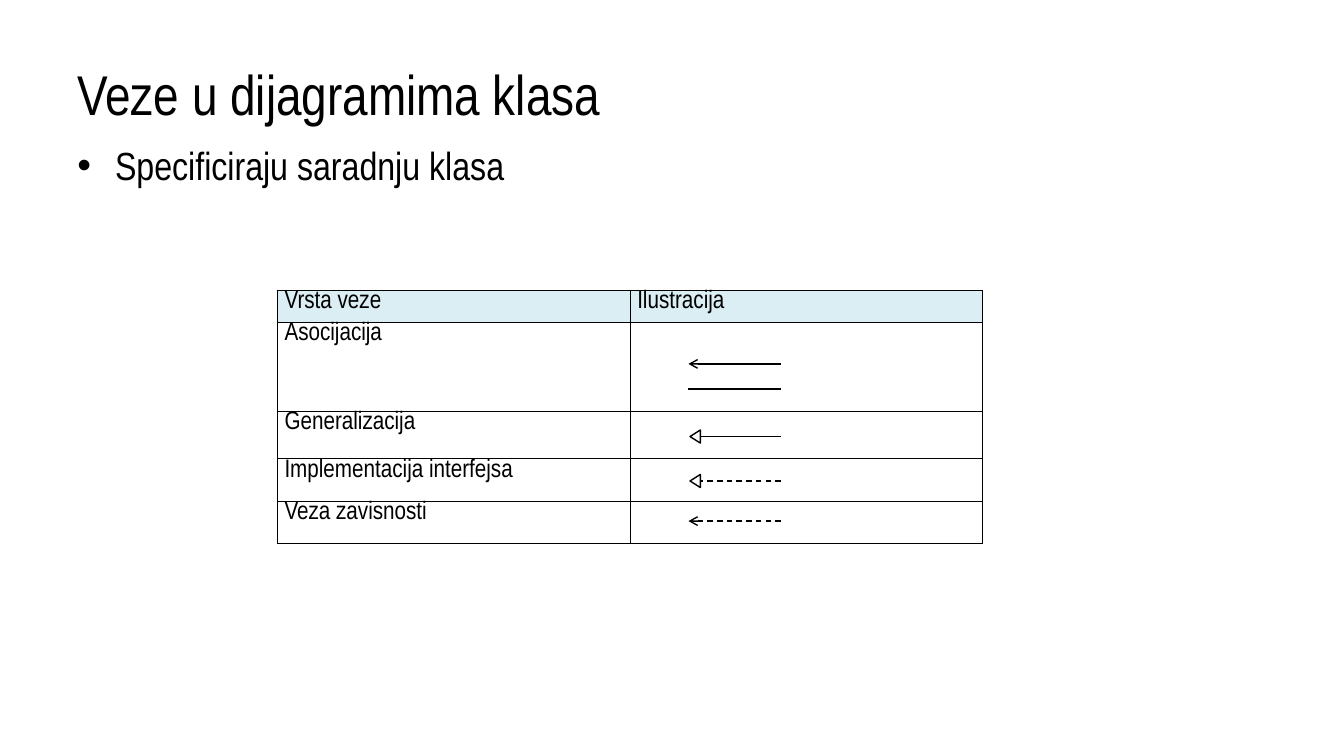
from lxml import etree
from pptx import Presentation
from pptx.dml.color import RGBColor
from pptx.enum.dml import MSO_LINE
from pptx.enum.shapes import MSO_CONNECTOR, MSO_SHAPE
from pptx.enum.text import MSO_ANCHOR, PP_ALIGN
from pptx.oxml.ns import qn
from pptx.util import Cm, Pt

BLACK = RGBColor(0x00, 0x00, 0x00)
HEADER_BLUE = RGBColor(0xDB, 0xEE, 0xF4)
FONT = "Arial Narrow"
DASH = MSO_LINE.DASH
STRAIGHT = MSO_CONNECTOR.STRAIGHT
TRIANGLE = MSO_SHAPE.ISOSCELES_TRIANGLE
MIDDLE, TOP = MSO_ANCHOR.MIDDLE, MSO_ANCHOR.TOP
JUSTIFY = PP_ALIGN.JUSTIFY

HEADINGS = ("Vrsta veze", "Ilustracija")
HEADING_HEIGHT = 0.81
RELATIONS = (
    ("Asocijacija", 2.24, ((1.04, "arrow", None), (1.67, None, None))),
    ("Generalizacija", 1.19, ((0.63, "triangle", None),)),
    ("Implementacija interfejsa", 1.07, ((0.56, "triangle", DASH),)),
    ("Veza zavisnosti", 1.07, ((0.5, "arrow", DASH),)),
)


def style_text(paragraph, size):
    """Set the font of every run in a paragraph."""
    for run in paragraph.runs:
        run.font.name = FONT
        run.font.size = Pt(size)
        run.font.color.rgb = BLACK


def add_text(slide, box, text, size, anchor):
    """Place one line of text in a box and return its paragraph."""
    frame = slide.shapes.add_textbox(*(Cm(length) for length in box)).text_frame
    frame.word_wrap = True
    frame.vertical_anchor = anchor
    frame.text = text
    style_text(frame.paragraphs[0], size)
    return frame.paragraphs[0]


def add_bullet(paragraph, indent):
    """Give a paragraph a round bullet with a hanging indent."""
    properties = paragraph._p.get_or_add_pPr()
    properties.set("marL", str(Cm(indent)))
    properties.set("indent", str(-Cm(indent)))
    etree.SubElement(properties, qn("a:buFont")).set("typeface", "Arial")
    etree.SubElement(properties, qn("a:buChar")).set("char", "•")


def style_cell(cell, text, fill):
    """Fill a table cell and draw its four borders."""
    cell.margin_left = cell.margin_right = Cm(0.18)
    cell.margin_top = cell.margin_bottom = 0
    cell.text = text
    cell.text_frame.paragraphs[0].alignment = JUSTIFY
    style_text(cell.text_frame.paragraphs[0], 18)
    properties = cell._tc.get_or_add_tcPr()
    for side in ("lnL", "lnR", "lnT", "lnB"):
        border = etree.SubElement(properties, qn(f"a:{side}"), w=str(Pt(1)))
        color = etree.SubElement(border, qn("a:solidFill"))
        etree.SubElement(color, qn("a:srgbClr")).set("val", str(BLACK))
    if fill is None:
        cell.fill.background()
    else:
        cell.fill.solid()
        cell.fill.fore_color.rgb = fill


def add_relation_line(slide, left, y, head, dash):
    """Draw one relation symbol pointing left, from the column's left edge."""
    start = left + (1.77 if head == "triangle" else 1.47)
    line = slide.shapes.add_connector(
        STRAIGHT, Cm(left + 3.8), Cm(y), Cm(start), Cm(y))
    line.line.color.rgb = BLACK
    line.line.width = Pt(1)
    if dash:
        line.line.dash_style = dash
    etree.SubElement(line._element.spPr, qn("a:effectLst"))
    if head == "arrow":
        outline = line.line._get_or_add_ln()
        etree.SubElement(outline, qn("a:tailEnd")).set("type", "arrow")
    elif head == "triangle":
        width, height = 0.33, 0.26
        tip = slide.shapes.add_shape(
            TRIANGLE, Cm(start - (width + height) / 2), Cm(y - height / 2),
            Cm(width), Cm(height))
        tip.rotation = 270
        tip.shadow.inherit = False
        tip.fill.background()
        tip.line.color.rgb = BLACK
        tip.line.width = Pt(1)


def add_relations(slide, left, top, width):
    """Build the table of relations with a symbol in each row."""
    heights = [HEADING_HEIGHT] + [height for _, height, _ in RELATIONS]
    table = slide.shapes.add_table(
        len(heights), len(HEADINGS), Cm(left), Cm(top), Cm(width),
        Cm(sum(heights))).table
    for row, height in zip(table.rows, heights):
        row.height = Cm(height)
    for column, heading in enumerate(HEADINGS):
        style_cell(table.cell(0, column), heading, HEADER_BLUE)
    row_top = top + HEADING_HEIGHT
    for row, (relation, height, symbols) in enumerate(RELATIONS, start=1):
        style_cell(table.cell(row, 0), relation, None)
        style_cell(table.cell(row, 1), "", None)
        for offset, head, dash in symbols:
            add_relation_line(slide, left + width / 2, row_top + offset, head, dash)
        row_top += height


def main():
    """Build the slide and save it."""
    deck = Presentation()
    deck.slide_width, deck.slide_height = Cm(33.87), Cm(19.05)
    slide = deck.slides.add_slide(deck.slide_layouts[6])
    add_text(slide, (1.7, 0.76, 30.48, 3.18), "Veze u dijagramima klasa", 40, MIDDLE)
    statement = add_text(
        slide, (1.7, 3.43, 30.48, 2.62), "Specificiraju saradnju klasa", 28, TOP)
    add_bullet(statement, 0.95)
    add_relations(slide, 6.99, 7.32, 17.78)
    deck.save("out.pptx")


if __name__ == "__main__":
    main()
